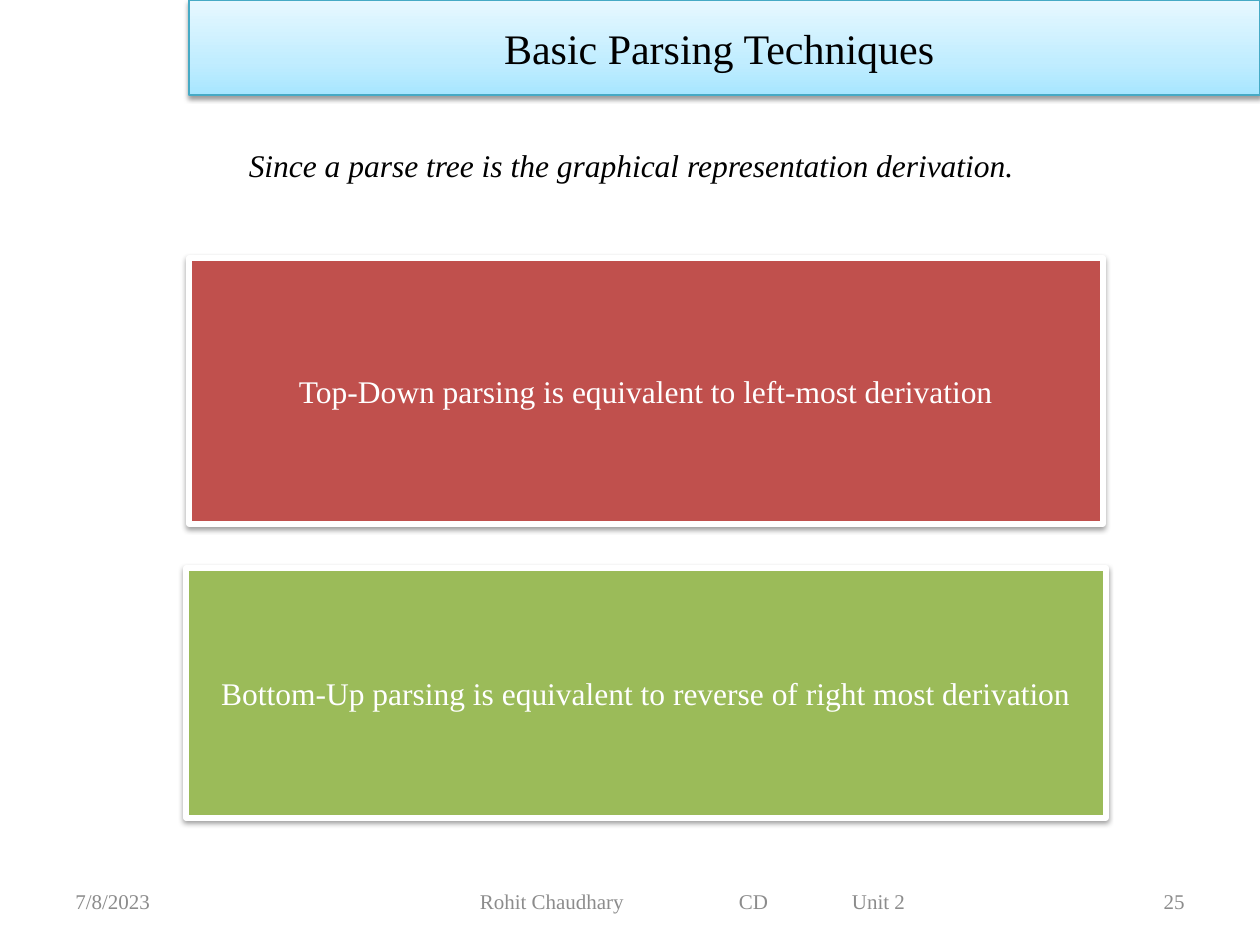
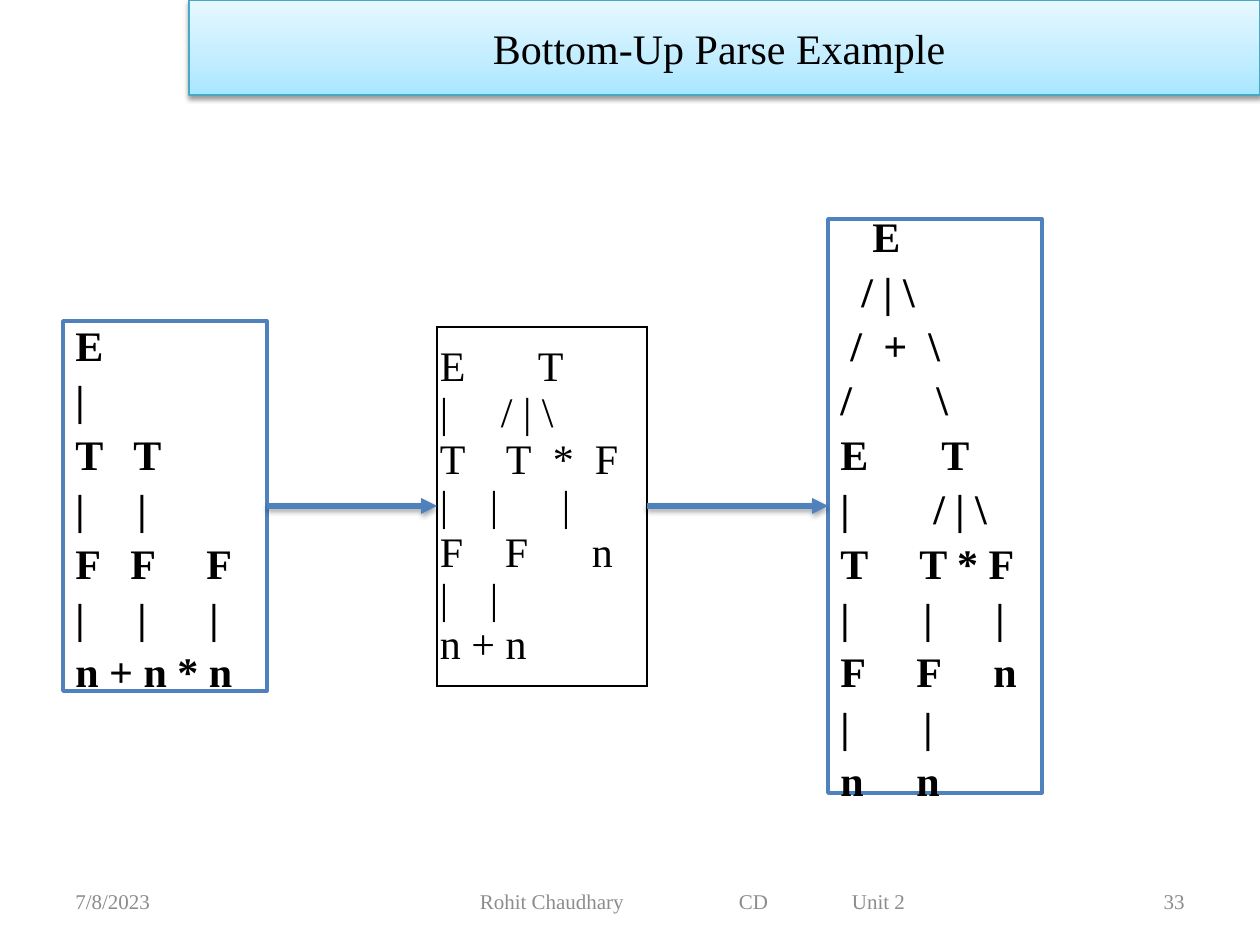
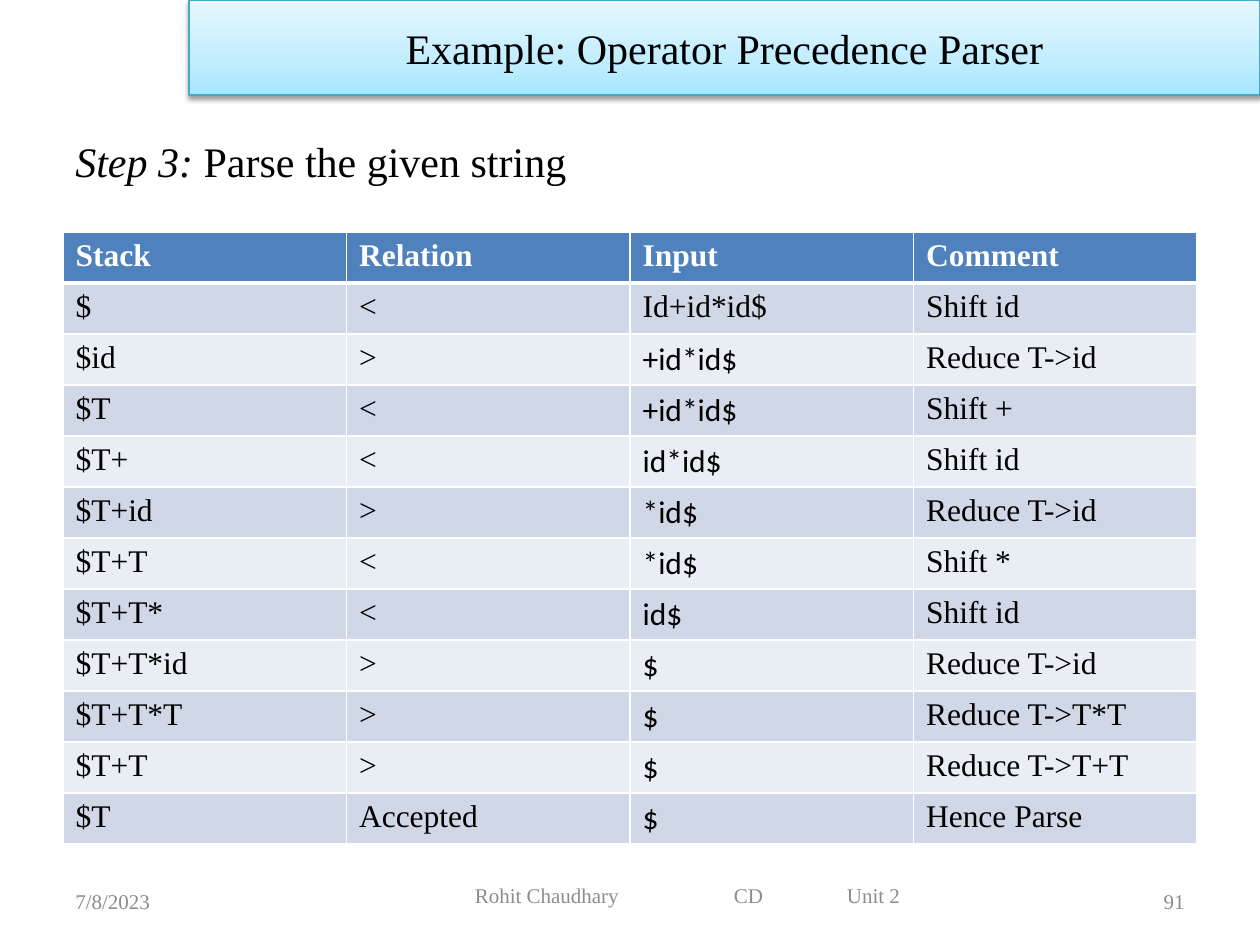
from dataclasses import dataclass
from typing import Optional

import pptx
import pptx.dml.color
import pptx.enum.shapes
import pptx.enum.text
import pptx.oxml
import pptx.oxml.ns
import pptx.util
from lxml import etree

PX = 914400 / 126
SERIF, SANS = "Times New Roman", "Calibri"
BLACK, WHITE, GREY = "000000", "FFFFFF", "8C8C8C"
BLUE, RED, GREEN, CYAN = "4F81BD", "C0504D", "9BBB59", "46AAC5"
BAND_GRADIENT = ((0, "A7E6FF"), (35, "C1EDFF"), (100, "E7F8FF"))
ROW_FILLS = ("D0D8E8", "E9EDF4")

ALIGN = pptx.enum.text.PP_ALIGN
ANCHOR = pptx.enum.text.MSO_ANCHOR
RECT = pptx.enum.shapes.MSO_SHAPE.RECTANGLE
qn = pptx.oxml.ns.qn

# A row of text is a list of (x, text) pairs; every x above 0 is a tab stop.
Row = list[tuple[int, str]]


@dataclass
class Box:
    x: int
    y: int
    w: int
    h: int

    def emu(self) -> tuple[int, ...]:
        return tuple(px(v) for v in (self.x, self.y, self.w, self.h))


@dataclass
class Style:
    size: int
    color: str = BLACK
    font: str = SERIF
    bold: bool = False
    italic: bool = False
    align: ALIGN = ALIGN.LEFT


@dataclass
class Card:
    box: Box
    fill: str
    text: str


@dataclass
class Footer:
    box: Box
    indent: int


# Shared styles and places
TITLE = Style(24, align=ALIGN.CENTER)
SMALL = Style(12, GREY)
SMALL_RIGHT = Style(12, GREY, align=ALIGN.RIGHT)
BAND = Box(189, 0, 1071, 95)
DATE_BOX = Box(63, 876, 294, 50)
NUMBER_BOX = Box(903, 876, 294, 50)
FOOTER = Footer(Box(346, 876, 693, 50), 134)
LOW_FOOTER = Footer(Box(431, 876, 514, 38), 44)
FOOTER_ROW: Row = [(0, "Rohit Chaudhary"), (259, "CD"), (372, "Unit 2")]


def px(n: float) -> int:
    return round(n * PX)


def rgb(color: str) -> pptx.dml.color.RGBColor:
    return pptx.dml.color.RGBColor.from_string(color)


def child(parent, tag: str, **attrs):
    return etree.SubElement(parent, qn(tag), {k: str(v) for k, v in attrs.items()})


# Text
def add_run(p, text: str, style: Style) -> None:
    r = p.add_run()
    r.text = text
    f = r.font
    f.size, f.name = pptx.util.Pt(style.size), style.font
    f.bold, f.italic = style.bold, style.italic
    f.color.rgb = rgb(style.color)


def add_row(p, row: Row, style: Style) -> None:
    p.alignment = style.align
    stops = [x for x, _ in row if x]
    if stops:
        tabs = child(p._p.get_or_add_pPr(), "a:tabLst")
        for x in stops:
            child(tabs, "a:tab", pos=px(x), algn="l")
    for x, text in row:
        add_run(p, "\t" + text if x else text, style)


def add_rows(tf, rows: list[Row], style: Style, gap: int = 0) -> None:
    for i, row in enumerate(rows):
        p = tf.add_paragraph() if i else tf.paragraphs[0]
        if i and gap:
            p.space_before = px(gap)
        add_row(p, row, style)


def text_box(s, box: Box, row: Row, style: Style, anchor=ANCHOR.MIDDLE,
             left: Optional[int] = None, top: Optional[int] = None):
    tf = s.shapes.add_textbox(*box.emu()).text_frame
    tf.word_wrap = True
    tf.vertical_anchor = anchor
    if left is not None:
        tf.margin_left = px(left)
    if top is not None:
        tf.margin_top = px(top)
    add_row(tf.paragraphs[0], row, style)
    return tf


# Shapes
def add_shadow(effects, alpha: int, dist: float) -> None:
    shadow = child(effects, "a:outerShdw", blurRad=pptx.util.Pt(3.1), dist=pptx.util.Pt(dist),
                   dir=90 * 60000, rotWithShape=0)
    child(child(shadow, "a:srgbClr", val=BLACK), "a:alpha", val=alpha * 1000)


def add_rect(s, box: Box, fill: Optional[str], line: str, width: float, shadow: bool = False):
    sp = s.shapes.add_shape(RECT, *box.emu())
    if fill:
        sp.fill.solid()
        sp.fill.fore_color.rgb = rgb(fill)
    sp.line.color.rgb = rgb(line)
    sp.line.width = pptx.util.Pt(width)
    sp.shadow.inherit = False
    if shadow:
        add_shadow(sp._element.spPr.find(qn("a:effectLst")), 38, 1.6)
    sp.text_frame.word_wrap = True
    sp.text_frame.vertical_anchor = ANCHOR.MIDDLE
    return sp


def add_arrow(s, x1: int, x2: int, y: int):
    kind = pptx.enum.shapes.MSO_CONNECTOR.STRAIGHT
    cx = s.shapes.add_connector(kind, px(x1), px(y), px(x2), px(y))
    cx.line.color.rgb = rgb(BLUE)
    cx.line.width = pptx.util.Pt(3)
    spPr = cx._element.spPr
    child(spPr.find(qn("a:ln")), "a:tailEnd", type="triangle")
    add_shadow(child(spPr, "a:effectLst"), 35, 1.8)
    return cx


# Tables
def add_table(s, box: Box, rows: int, cols: int):
    tbl = s.shapes.add_table(rows, cols, *box.emu()).table
    tbl.first_row = tbl.horz_banding = False
    return tbl


def style_cell(cell, fill: str, border: str, top: int = 1, bottom: int = 1) -> None:
    tcPr = cell._tc.get_or_add_tcPr()
    for side, width in (("L", 1), ("R", 1), ("T", top), ("B", bottom)):
        ln = child(tcPr, f"a:ln{side}", w=pptx.util.Pt(width))
        child(child(ln, "a:solidFill"), "a:srgbClr", val=border)
    cell.fill.solid()
    cell.fill.fore_color.rgb = rgb(fill)


# Slide frame: date, number, title band, footer
def new_slide(prs, title: str, number: int, footer: Footer = FOOTER):
    s = prs.slides.add_slide(prs.slide_layouts[6])
    text_box(s, DATE_BOX, [(0, "7/8/2023")], SMALL)
    text_box(s, NUMBER_BOX, [(0, str(number))], SMALL_RIGHT)
    band = add_rect(s, BAND, None, CYAN, 0.75, shadow=True)
    band.fill.gradient()
    band.fill.gradient_angle = 90
    stops = band._element.spPr.find(qn("a:gradFill")).find(qn("a:gsLst"))
    for old in list(stops):
        stops.remove(old)
    for pos, color in BAND_GRADIENT:
        child(child(stops, "a:gs", pos=pos * 1000), "a:srgbClr", val=color)
    add_row(band.text_frame.paragraphs[0], [(0, title)], TITLE)
    text_box(s, footer.box, FOOTER_ROW, SMALL, left=footer.indent)
    return s


# Slide 1: the two techniques
CARDS = (
    Card(Box(189, 258, 914, 266), RED, "Top-Down parsing is equivalent to left-most derivation"),
    Card(Box(186, 568, 920, 250), GREEN,
         "Bottom-Up parsing is equivalent to reverse of right most derivation"),
)


def techniques_slide(prs) -> None:
    s = new_slide(prs, "Basic Parsing Techniques ", 25)
    text_box(s, Box(42, 136, 1187, 624),
             [(0, "Since a parse tree is the graphical representation derivation. ")],
             Style(18, italic=True, align=ALIGN.CENTER), ANCHOR.TOP, top=10)
    for card in CARDS:
        sp = add_rect(s, card.box, card.fill, WHITE, 3, shadow=True)
        tf = sp.text_frame
        tf.margin_left = tf.margin_right = tf.margin_top = tf.margin_bottom = px(9)
        add_row(tf.paragraphs[0], [(0, card.text)], Style(18, WHITE, align=ALIGN.CENTER))


# Slide 2: parse trees growing from the leaves
FIRST_TREE: list[Row] = [
    [(0, "E")],
    [(0, "|")],
    [(0, "T"), (58, "T")],
    [(0, "|"), (62, "|")],
    [(0, "F"), (55, "F"), (131, "F")],
    [(0, "|"), (62, "|"), (134, "|")],
    [(0, "n + n * n")],
]
MIDDLE_TREE: list[Row] = [
    [(0, "E"), (98, "T")],
    [(0, "|"), (61, "/ | \\")],
    [(0, "T"), (66, "T"), (113, "*"), (155, "F")],
    [(0, "|"), (50, "|"), (122, "|")],
    [(0, "F"), (65, "F"), (152, "n")],
    [(0, "|"), (50, "|")],
    [(0, "n + n")],
]
LAST_TREE: list[Row] = [
    [(32, "E")],
    [(21, "/ | \\")],
    [(10, "/"), (43, "+"), (88, "\\")],
    [(0, "/"), (96, "\\")],
    [(0, "E"), (101, "T")],
    [(0, "|"), (93, "/ | \\")],
    [(0, "T"), (79, "T * F")],
    [(0, "|"), (83, "|"), (155, "|")],
    [(0, "F"), (76, "F"), (153, "n")],
    [(0, "|"), (83, "|")],
    [(0, "n"), (76, "n")],
]


def add_tree(s, box: Box, rows: list[Row]):
    sp = add_rect(s, box, WHITE, BLUE, 2)
    sp.text_frame.margin_top = px(10)
    add_rows(sp.text_frame, rows, Style(24, bold=True), gap=4)
    return sp


def tree_slide(prs) -> None:
    s = new_slide(prs, "Bottom-Up Parse Example ", 33)
    middle = Box(437, 327, 210, 330)
    cell = add_table(s, middle, 1, 1).cell(0, 0)
    style_cell(cell, WHITE, BLACK)
    cell.vertical_anchor = ANCHOR.MIDDLE
    cell.margin_left = cell.margin_right = cell.margin_top = cell.margin_bottom = px(3)
    add_rows(cell.text_frame, MIDDLE_TREE, Style(24))

    first_box, last_box = Box(63, 321, 204, 370), Box(828, 219, 214, 574)
    first = add_tree(s, first_box, FIRST_TREE)
    last = add_tree(s, last_box, LAST_TREE)
    y = first_box.y + first_box.h // 2
    add_arrow(s, first_box.x + first_box.w, middle.x, y).begin_connect(first, 3)
    add_arrow(s, middle.x + middle.w, last_box.x, y).end_connect(last, 1)


# Slide 3: parsing steps
STEPS = (
    ("Stack", "Relation", "Input", "Comment"),
    ("$", "<", "Id+id*id$", "Shift id"),
    ("$id", ">", "+id*id$", "Reduce T->id"),
    ("$T", "<", "+id*id$", "Shift +"),
    ("$T+", "<", "id*id$", "Shift id"),
    ("$T+id", ">", "*id$", "Reduce T->id"),
    ("$T+T", "<", "*id$", "Shift *"),
    ("$T+T*", "<", "id$", "Shift id"),
    ("$T+T*id", ">", "$", "Reduce T->id"),
    ("$T+T*T", ">", "$", "Reduce T->T*T"),
    ("$T+T", ">", "$", "Reduce T->T+T"),
    ("$T", "Accepted", "$", "Hence Parse"),
)
INPUT_COLUMN = 2


def precedence_slide(prs) -> None:
    s = new_slide(prs, "Example: Operator Precedence Parser", 91, LOW_FOOTER)
    tf = text_box(s, Box(63, 126, 1134, 718), [(0, "Step 3: ")],
                  Style(24, italic=True), ANCHOR.TOP, top=10)
    add_run(tf.paragraphs[0], "Parse the given string", Style(24))

    tbl = add_table(s, Box(63, 232, 1134, 51 * len(STEPS)), len(STEPS), len(STEPS[0]))
    for i, step in enumerate(STEPS):
        for j, text in enumerate(step):
            cell = tbl.cell(i, j)
            if i == 0:
                style_cell(cell, BLUE, WHITE, bottom=3)
                style = Style(18, WHITE, bold=True)
            else:
                style_cell(cell, ROW_FILLS[(i - 1) % 2], WHITE, top=3 if i == 1 else 1)
                style = Style(18, font=SANS if j == INPUT_COLUMN and i > 1 else SERIF)
            add_row(cell.text_frame.paragraphs[0], [(0, text)], style)


def main() -> None:
    prs = pptx.Presentation()
    prs.slide_width, prs.slide_height = px(1260), px(945)
    techniques_slide(prs)
    tree_slide(prs)
    precedence_slide(prs)
    prs.save("out.pptx")


if __name__ == "__main__":
    main()
